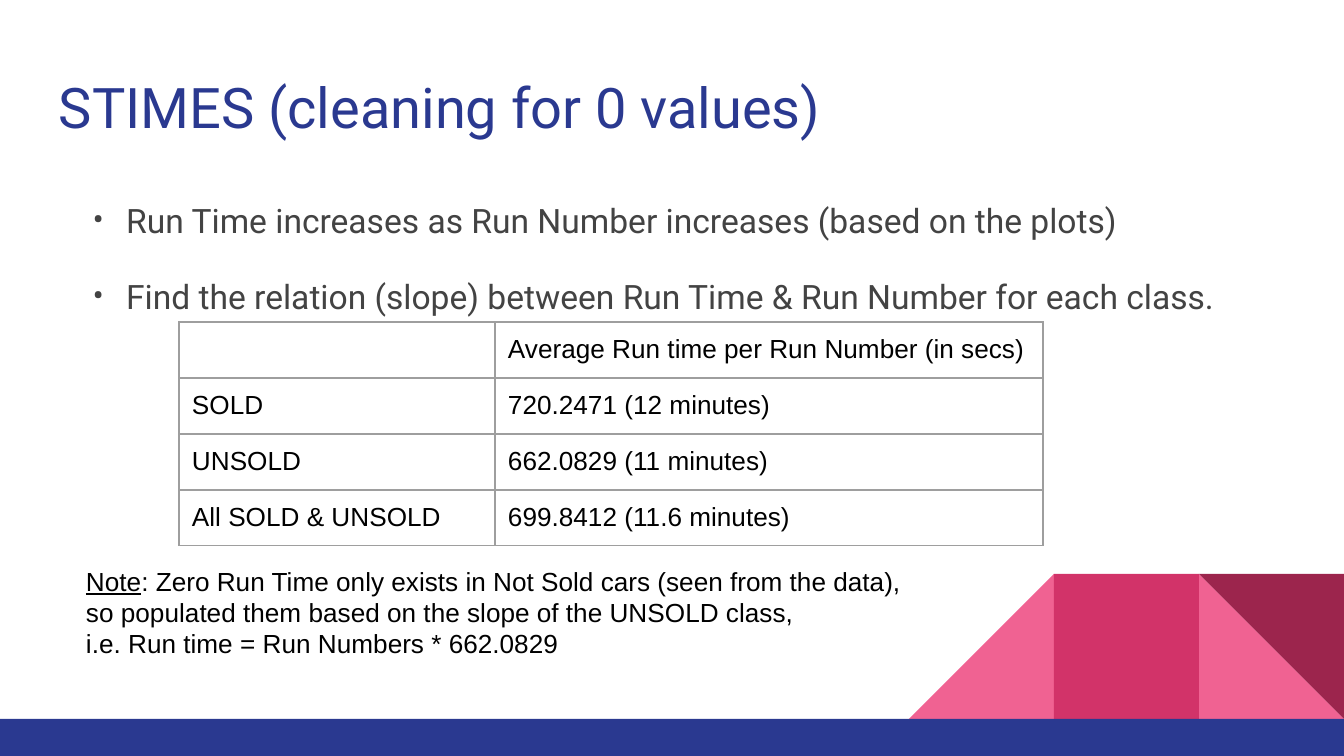
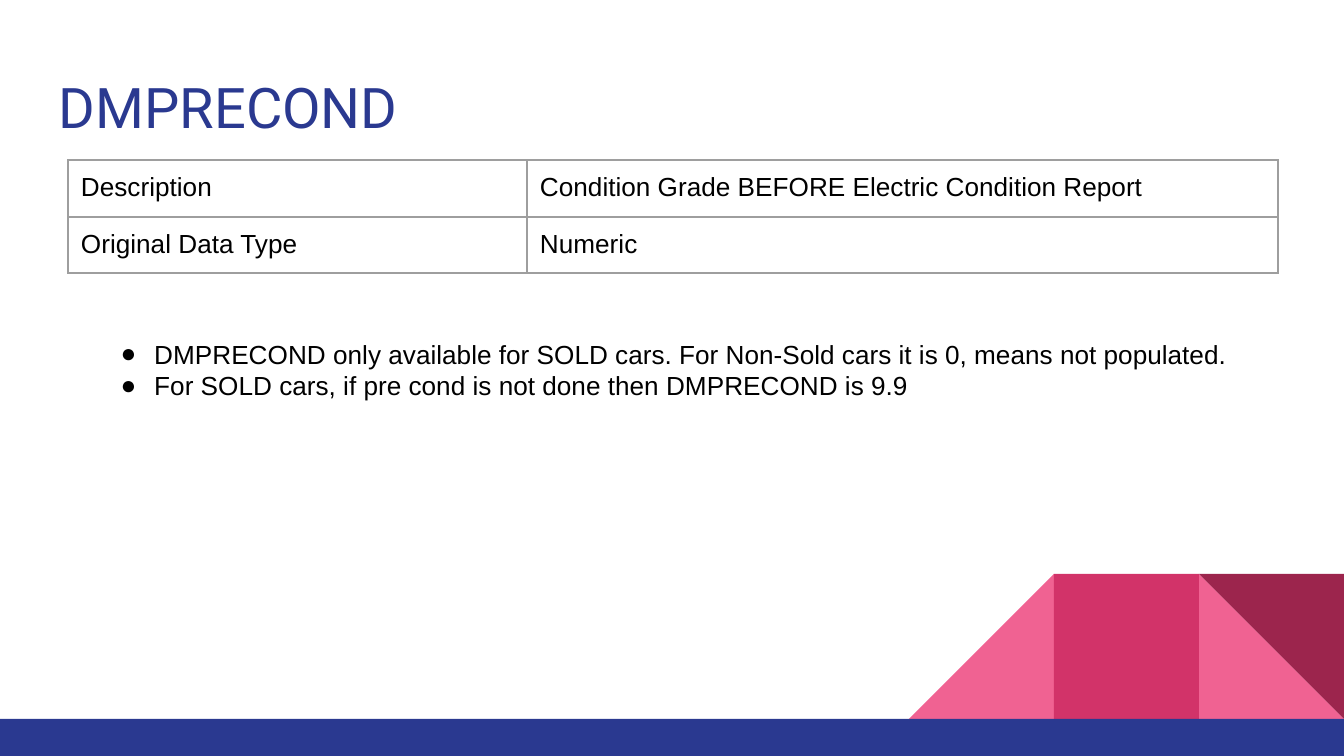
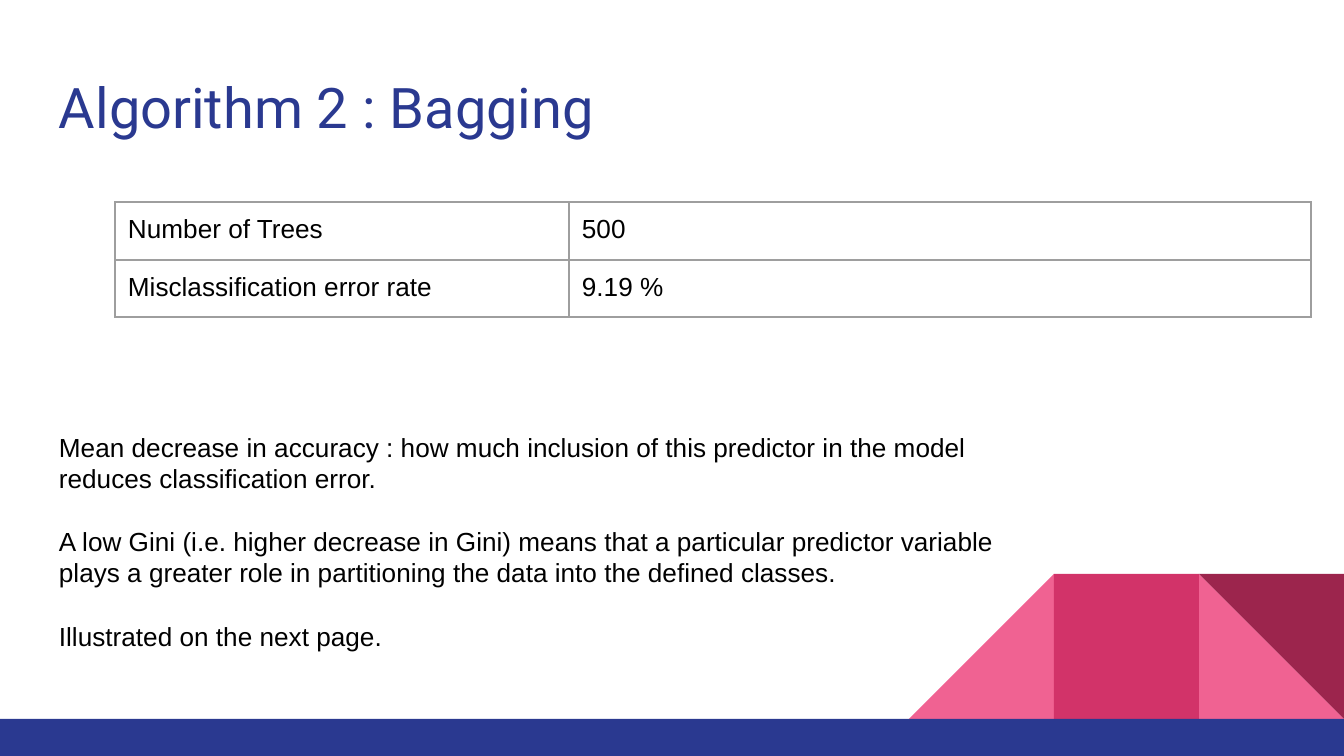
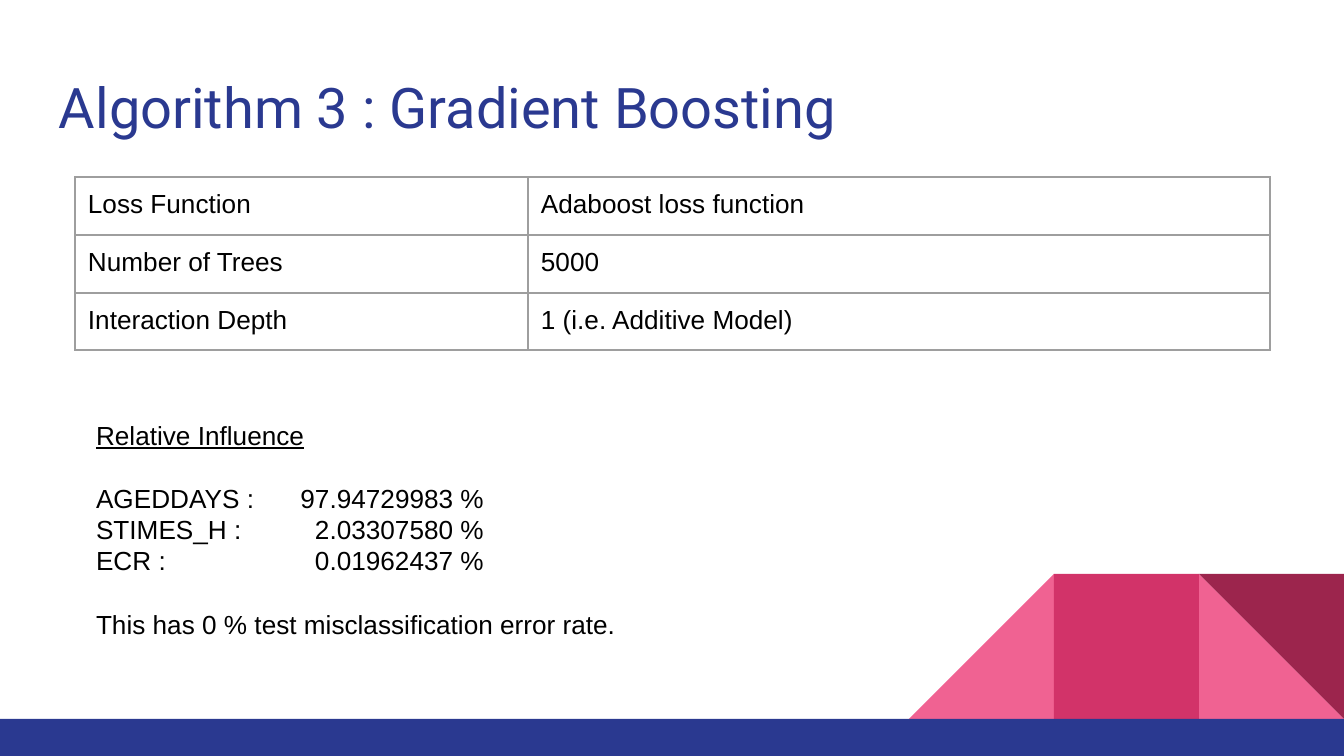
"""Build four slides on data cleaning and classification algorithms."""
from dataclasses import dataclass

from lxml import etree
from pptx import Presentation
from pptx import util as u
from pptx.dml.color import RGBColor
from pptx.enum import shapes, text
from pptx.oxml.ns import qn

EMU_PER_PX = 9144000 / 1344
SLIDE_WIDTH, SLIDE_HEIGHT = 1344, 756
INSET = 13
TILE = 145
FOOTER_TOP = 719
TITLE_ONLY, TITLE_AND_BODY = 5, 1

BLUE = RGBColor(0x2A, 0x39, 0x90)
PINK = RGBColor(0xF0, 0x62, 0x92)
ROSE = RGBColor(0xD2, 0x33, 0x69)
WINE = RGBColor(0x9C, 0x25, 0x4D)
GREY = RGBColor(0x43, 0x43, 0x43)
RULE = RGBColor(0x9E, 0x9E, 0x9E)
BLACK = RGBColor(0, 0, 0)


@dataclass(frozen=True)
class Box:
    left: int
    top: int
    width: int
    height: int


@dataclass(frozen=True)
class Style:
    font: str
    size: int
    color: RGBColor
    line_spacing: float = 1.0
    space_after: int = 0
    bullet: str = ""


@dataclass(frozen=True)
class Line:
    text: str
    underlined: str = ""
    space_before: int = 0
    tab: int = 0


@dataclass(frozen=True)
class Tile:
    kind: shapes.MSO_SHAPE
    box: Box
    color: RGBColor
    flipped: bool = False
    rotation: int = 0


@dataclass(frozen=True)
class Grid:
    left: int
    top: int
    columns: tuple[int, ...]
    rows: tuple[int, ...]
    cells: tuple[tuple[str, ...], ...]


@dataclass(frozen=True)
class Page:
    title: str
    grid: Grid
    body: Box | None = None
    body_style: Style | None = None
    body_lines: tuple[Line, ...] = ()
    note: Box | None = None
    note_lines: tuple[Line, ...] = ()


TITLE_BOX = Box(46, 60, 1252, 89)
TITLE = Style("Roboto", 30, BLUE)
PLAIN = Style("Arial", 14, BLACK)
FINDINGS = Style("Roboto", 18, GREY, 1.15, 16, "•")
REMARKS = Style("Arial", 14, BLACK, bullet="●")
BLANK_LINE = 17
VALUE_TAB = 388


def tile_box(steps_from_right: int) -> Box:
    return Box(SLIDE_WIDTH - steps_from_right * TILE, FOOTER_TOP - TILE, TILE, TILE)


SCENERY = (
    Tile(shapes.MSO_SHAPE.RIGHT_TRIANGLE, tile_box(1), PINK),
    Tile(shapes.MSO_SHAPE.RIGHT_TRIANGLE, tile_box(3), PINK, flipped=True),
    Tile(shapes.MSO_SHAPE.RECTANGLE, tile_box(2), ROSE),
    Tile(shapes.MSO_SHAPE.RIGHT_TRIANGLE, tile_box(1), WINE, rotation=180),
    Tile(shapes.MSO_SHAPE.RECTANGLE,
         Box(0, FOOTER_TOP, SLIDE_WIDTH, SLIDE_HEIGHT - FOOTER_TOP), BLUE),
)

PAGES = (
    Page(
        "STIMES (cleaning for 0 values)",
        Grid(179, 322, (316, 548), (56,) * 4, (
            ("", "Average Run time per Run Number (in secs)"),
            ("SOLD", "720.2471 (12 minutes)"),
            ("UNSOLD", "662.0829 (11 minutes)"),
            ("All SOLD & UNSOLD", "699.8412 (11.6 minutes)"),
        )),
        body=Box(46, 181, 1214, 137),
        body_style=FINDINGS,
        body_lines=(
            Line("Run Time increases as Run Number increases (based on the plots)"),
            Line("Find the relation (slope) between Run Time & Run Number for each class."),
        ),
        note=Box(73, 552, 895, 126),
        note_lines=(
            Line(": Zero Run Time only exists in Not Sold cars (seen from the data),",
                 underlined="Note"),
            Line("so populated them based on the slope of the UNSOLD class,"),
            Line("i.e. Run time = Run Numbers * 662.0829"),
        ),
    ),
    Page(
        "DMPRECOND",
        Grid(68, 160, (459, 751), (57, 56), (
            ("Description", "Condition Grade BEFORE Electric Condition Report"),
            ("Original Data Type", "Numeric"),
        )),
        body=Box(74, 325, 1224, 214),
        body_style=REMARKS,
        body_lines=(
            Line("DMPRECOND only available for SOLD cars. "
                 "For Non-Sold cars it is 0, means not populated."),
            Line("For SOLD cars, if pre cond is not done then DMPRECOND is 9.9"),
        ),
    ),
    Page(
        "Algorithm 2 : Bagging",
        Grid(115, 202, (454, 742), (58, 57), (
            ("Number of Trees", "500"),
            ("Misclassification error rate", "9.19 %"),
        )),
        note=Box(46, 418, 1028, 238),
        note_lines=(
            Line("Mean decrease in accuracy : how much inclusion of this predictor "
                 "in the model reduces classification error."),
            Line("A low Gini (i.e. higher decrease in Gini) means that a particular "
                 "predictor variable plays a greater role in partitioning the data "
                 "into the defined classes.", space_before=BLANK_LINE),
            Line("Illustrated on the next page.", space_before=BLANK_LINE),
        ),
    ),
    Page(
        "Algorithm 3 : Gradient Boosting",
        Grid(75, 177, (453, 742), (58, 58, 57), (
            ("Loss Function", "Adaboost loss function"),
            ("Number of Trees", "5000"),
            ("Interaction Depth", "1 (i.e. Additive Model)"),
        )),
        note=Box(83, 406, 847, 274),
        note_lines=(
            Line("", underlined="Relative Influence"),
            Line("AGEDDAYS :\t97.94729983 %", space_before=BLANK_LINE, tab=VALUE_TAB),
            Line("STIMES_H :\t2.03307580 %", tab=VALUE_TAB),
            Line("ECR :\t0.01962437 %", tab=VALUE_TAB),
            Line("This has 0 % test misclassification error rate.",
                 space_before=BLANK_LINE),
        ),
    ),
)


def px(length: int) -> u.Emu:
    return u.Emu(round(length * EMU_PER_PX))


def edges(box: Box) -> tuple[u.Emu, ...]:
    return px(box.left), px(box.top), px(box.width), px(box.height)


def place(shape, box: Box) -> None:
    shape.left, shape.top, shape.width, shape.height = edges(box)


def set_insets(holder) -> None:
    holder.margin_left = holder.margin_right = px(INSET)
    holder.margin_top = holder.margin_bottom = px(INSET)


def set_font(paragraph, style: Style) -> None:
    paragraph.font.name = style.font
    paragraph.font.size = u.Pt(style.size)
    paragraph.font.color.rgb = style.color


def write_line(paragraph, line: Line, style: Style) -> None:
    paragraph.alignment = text.PP_ALIGN.LEFT
    paragraph.line_spacing = style.line_spacing
    paragraph.space_before = u.Pt(line.space_before)
    paragraph.space_after = u.Pt(style.space_after)
    properties = paragraph._p.get_or_add_pPr()
    if style.bullet:
        properties.set("marL", str(u.Inches(0.5)))
        properties.set("indent", str(u.Inches(-0.25)))
        bullet_color = etree.SubElement(properties, qn("a:buClr"))
        etree.SubElement(bullet_color, qn("a:srgbClr"), val=str(style.color))
        etree.SubElement(properties, qn("a:buFont"), typeface=style.font)
        etree.SubElement(properties, qn("a:buChar"), char=style.bullet)
    if line.tab:
        tabs = etree.SubElement(properties, qn("a:tabLst"))
        etree.SubElement(tabs, qn("a:tab"), pos=str(px(line.tab)), algn="r")
    set_font(paragraph, style)
    if line.underlined:
        run = paragraph.add_run()
        run.text = line.underlined
        run.font.underline = True
    if line.text:
        paragraph.add_run().text = line.text


def write_lines(shape, lines: tuple[Line, ...], style: Style) -> None:
    frame = shape.text_frame
    frame.word_wrap = True
    frame.auto_size = text.MSO_AUTO_SIZE.NONE
    frame.vertical_anchor = text.MSO_ANCHOR.TOP
    set_insets(frame)
    for index, line in enumerate(lines):
        paragraph = frame.add_paragraph() if index else frame.paragraphs[0]
        write_line(paragraph, line, style)


def write_cell(cell, words: str) -> None:
    set_insets(cell)
    properties = cell._tc.get_or_add_tcPr()
    for side in ("lnL", "lnR", "lnT", "lnB"):
        border = etree.SubElement(properties, qn(f"a:{side}"), w=str(u.Pt(0.75)))
        fill = etree.SubElement(border, qn("a:solidFill"))
        etree.SubElement(fill, qn("a:srgbClr"), val=str(RULE))
    cell.fill.background()
    paragraph = cell.text_frame.paragraphs[0]
    write_line(paragraph, Line(words), PLAIN)
    etree.SubElement(paragraph._p, qn("a:endParaRPr"), sz=str(PLAIN.size * 100))


def add_grid(slide, grid: Grid) -> None:
    box = Box(grid.left, grid.top, sum(grid.columns), sum(grid.rows))
    table = slide.shapes.add_table(
        len(grid.rows), len(grid.columns), *edges(box)).table
    table.first_row = table.horz_banding = False
    for column, width in zip(table.columns, grid.columns):
        column.width = px(width)
    for row, height, words in zip(table.rows, grid.rows, grid.cells):
        row.height = px(height)
        for cell, word in zip(row.cells, words):
            write_cell(cell, word)


def add_page(presentation, page: Page) -> None:
    layout = TITLE_AND_BODY if page.body else TITLE_ONLY
    slide = presentation.slides.add_slide(presentation.slide_layouts[layout])
    place(slide.shapes.title, TITLE_BOX)
    write_lines(slide.shapes.title, (Line(page.title),), TITLE)
    if page.body:
        body = slide.placeholders[1]
        place(body, page.body)
        write_lines(body, page.body_lines, page.body_style)
    add_grid(slide, page.grid)
    if page.note:
        note = slide.shapes.add_textbox(*edges(page.note))
        write_lines(note, page.note_lines, PLAIN)


def add_scenery(presentation) -> None:
    slide = presentation.slides[0]
    master_tree = presentation.slide_master.shapes.element
    for number, tile in enumerate(SCENERY, start=101):
        shape = slide.shapes.add_shape(tile.kind, *edges(tile.box))
        shape.shadow.inherit = False
        shape.fill.solid()
        shape.fill.fore_color.rgb = tile.color
        shape.line.fill.background()
        shape.rotation = tile.rotation
        if tile.flipped:
            shape.element.spPr.xfrm.set("flipH", "1")
        shape.element.nvSpPr.cNvPr.set("id", str(number))
        master_tree.append(shape.element)


def main() -> None:
    presentation = Presentation()
    presentation.slide_width = px(SLIDE_WIDTH)
    presentation.slide_height = px(SLIDE_HEIGHT)
    for page in PAGES:
        add_page(presentation, page)
    add_scenery(presentation)
    presentation.save("out.pptx")


if __name__ == "__main__":
    main()
